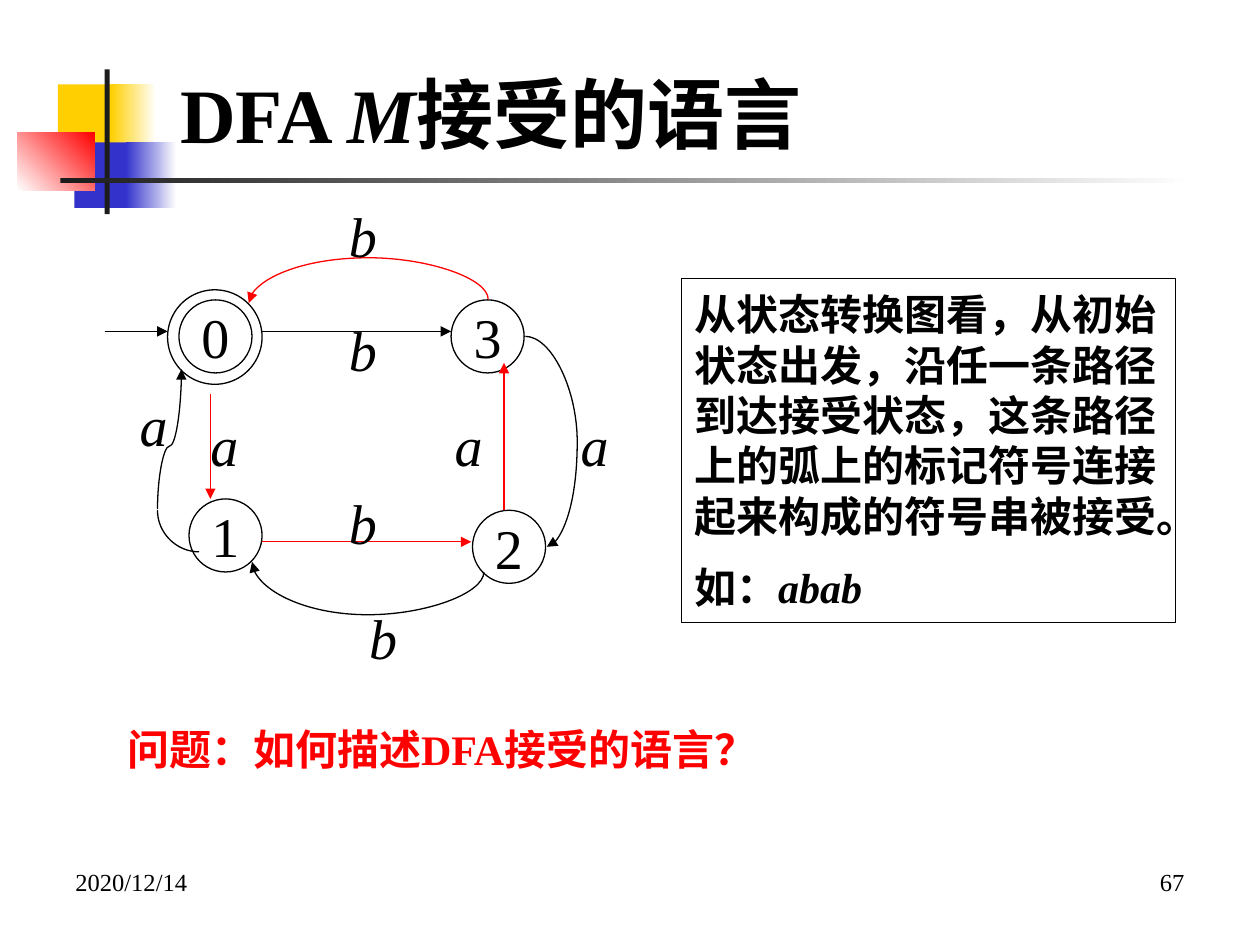
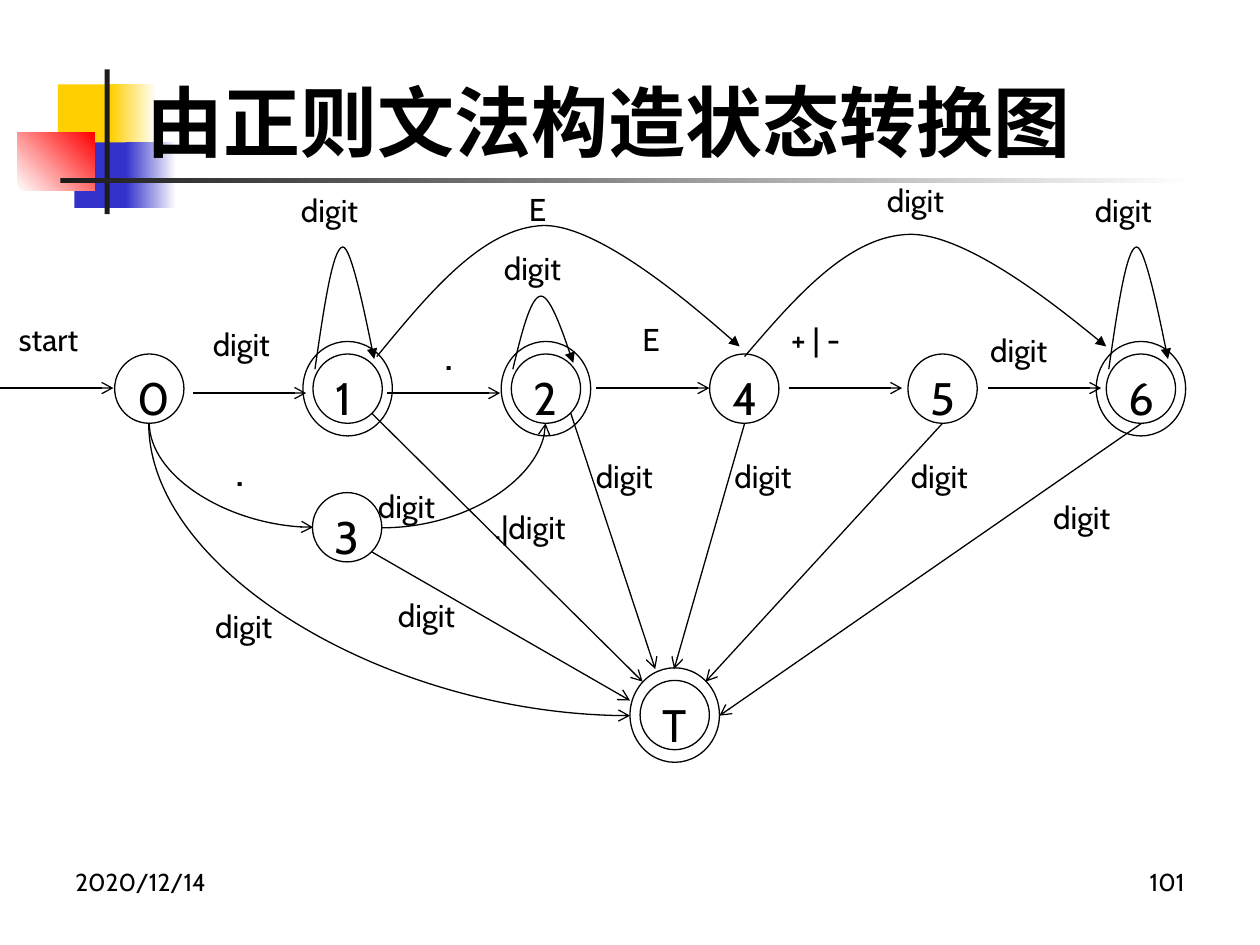
from lxml import etree
from pptx import Presentation
from pptx import util as u
from pptx.dml.color import RGBColor
from pptx.enum import shapes, text
from pptx.oxml import ns


class Theme:
    black, white, red = "000000", "FFFFFF", "FF0000"
    gold, blue, dark = "FFCF01", "3333CC", "1C1C1C"
    serif, sans = "Times New Roman", "Cabin"
    title, state, body, node, label, foot = 44, 32, 24, 26, 18, 14
    line = 0.75


RECT, OVAL = shapes.MSO_SHAPE.RECTANGLE, shapes.MSO_SHAPE.OVAL
STRAIGHT, CURVE = shapes.MSO_CONNECTOR.STRAIGHT, shapes.MSO_CONNECTOR.CURVE
LEFT, MID, RIGHT = text.PP_ALIGN.LEFT, text.PP_ALIGN.CENTER, text.PP_ALIGN.RIGHT
TOP, CENTER = text.MSO_ANCHOR.TOP, text.MSO_ANCHOR.MIDDLE


def put(box, words, size, font, color=Theme.black, bold=False, slant=False,
        align=LEFT, anchor=TOP, wrap=True, gap=0):
    """Fill a box with text; *stars* turn italics on and off."""
    frame = box.text_frame
    frame.word_wrap, frame.vertical_anchor = wrap, anchor
    frame.auto_size = text.MSO_AUTO_SIZE.NONE
    for i, row in enumerate(words.split("\n")):
        para = frame.add_paragraph() if i else frame.paragraphs[0]
        para.alignment = align
        if i:
            para.space_before = u.Pt(gap)
        for j, part in enumerate(row.split("*")):
            if part:
                run = para.add_run()
                run.text = part
                run.font.size, run.font.name = u.Pt(size), font
                run.font.bold, run.font.italic = bold, slant or j % 2 == 1
                run.font.color.rgb = RGBColor.from_string(color)


def ink(shape, color=Theme.black, tip=None):
    """Give a shape a thin plain outline, with an arrowhead if tip is named."""
    shape.line.color.rgb = RGBColor.from_string(color)
    shape.line.width = u.Pt(Theme.line)
    props = shape.element.spPr
    if tip:
        etree.SubElement(props.find(ns.qn("a:ln")), ns.qn("a:tailEnd"), type=tip)
    etree.SubElement(props, ns.qn("a:effectLst"))


deck = Presentation()
deck.slide_width, deck.slide_height = u.Inches(10), u.Inches(7.5)

# Shared band, title and footer
bands = [
    (0.46, 0.67, 0.48, 0.52, Theme.gold, None, 0),
    (0.88, 0.67, 0.36, 0.52, Theme.gold, Theme.white, 0),
    (0.59, 1.13, 0.46, 0.52, Theme.blue, None, 0),
    (1, 1.13, 0.4, 0.52, Theme.blue, Theme.white, 0),
    (0.14, 1.05, 0.61, 0.46, Theme.white, Theme.red, 45),
    (0.83, 0.55, 0.04, 1.15, Theme.dark, None, 0),
    (0.48, 1.41, 9, 0.04, Theme.dark, Theme.white, 0),
]
heads = [
    ("DFA *M*接受的语言", (1.33, 0.48, 6.17, 0.83), TOP, Theme.serif, "67"),
    ("由正则文法构造状态转换图", (1.06, 0.52, 8.74, 0.87), CENTER, Theme.sans, "101"),
]
pages = []
for head, at, anchor, font, number in heads:
    page = deck.slides.add_slide(deck.slide_layouts[5])
    pages.append(page)
    for x, y, w, h, first, last, angle in bands:
        band = page.shapes.add_shape(RECT, *map(u.Inches, (x, y, w, h)))
        band.shadow.inherit = False
        band.line.fill.background()
        if last:
            band.fill.gradient()
            band.fill.gradient_angle = angle
            for stop, color in zip(band.fill.gradient_stops, (first, last)):
                stop.color.rgb = RGBColor.from_string(color)
        else:
            band.fill.solid()
            band.fill.fore_color.rgb = RGBColor.from_string(first)
    title = page.shapes.title
    title.left, title.top, title.width, title.height = map(u.Inches, at)
    put(title, head, Theme.title, font, bold=True, anchor=anchor)
    # Keep the title in front of the bands
    page.shapes.element.append(title.element)
    for x, words, align in ((0.5, "2020/12/14", LEFT), (7.17, number, RIGHT)):
        foot = page.shapes.add_textbox(*map(u.Inches, (x, 6.83, 2.33, 0.52)))
        put(foot, words, Theme.foot, font, align=align)
dfa, graph = pages

# Explanation and question beside the DFA
note = dfa.shapes.add_shape(RECT, *map(u.Inches, (5.41, 2.21, 3.92, 2.73)))
note.fill.solid()
note.fill.fore_color.rgb = RGBColor.from_string(Theme.white)
ink(note)
put(note, "从状态转换图看，从初始状态出发，沿任一条路径到达接受状态，这条路径上的弧上的"
    "标记符号连接起来构成的符号串被接受。\n如：*abab*",
    Theme.body, Theme.serif, bold=True, anchor=CENTER, gap=12)
ask = dfa.shapes.add_textbox(*map(u.Inches, (0.91, 5.69, 5.91, 0.51)))
put(ask, "问题：如何描述DFA接受的语言？", Theme.body, Theme.serif, Theme.red, bold=True)

# DFA states
for name, x, y, size in [("", 1.33, 2.3, 0.75), ("0", 1.42, 2.38, 0.58),
                         ("1", 1.5, 3.96, 0.58), ("2", 3.75, 4.05, 0.58),
                         ("3", 3.58, 2.38, 0.58)]:
    state = dfa.shapes.add_shape(OVAL, *map(u.Inches, (x, y, size, size)))
    state.fill.solid()
    state.fill.fore_color.rgb = RGBColor.from_string(Theme.white)
    ink(state)
    put(state, name, Theme.state, Theme.serif, align=MID, anchor=CENTER, wrap=False)

# States of the transition graph; some have an outer ring
nodes = [(name, 0.91 + 7.87 / 5 * i, 2.81) for i, name in enumerate("012456")]
nodes += [("3", 2.48, 3.91), ("T", 5.08, 5.4)]
for name, x, y in nodes:
    rounds = [(name, x, y, 0.55, 0.55)]
    if name in "126T":
        rounds.append(("", x - 0.08, y - 0.1, 0.71, 0.75))
    for words, *at in rounds:
        node = graph.shapes.add_shape(OVAL, *map(u.Inches, at))
        node.fill.background()
        ink(node)
        put(node, words, Theme.node, Theme.sans)

# Straight arrows: page, tip, colour, from, to
lines = [
    (dfa, "triangle", Theme.black, 0.83, 2.63, 1.33, 2.63),
    (dfa, "triangle", Theme.black, 2.08, 2.63, 3.58, 2.63),
    (dfa, "triangle", Theme.red, 1.67, 3.13, 1.67, 3.96),
    (dfa, "triangle", Theme.red, 2.08, 4.3, 3.74, 4.3),
    (dfa, "triangle", Theme.red, 4, 4.05, 4, 2.88),
]
for x, y in [(0, 3.08), (1.53, 3.12), (3.07, 3.12), (4.73, 3.08), (6.26, 3.08), (7.84, 3.08)]:
    lines.append((graph, "arrow", Theme.black, x, y, x + 0.9, y))
for ends in [(2.95, 3.28, 5.1, 5.41), (2.95, 4.38, 5, 5.56), (5.91, 3.36, 5.35, 5.31),
             (7.48, 3.36, 5.6, 5.41), (9.06, 3.36, 5.71, 5.68), (4.53, 3.28, 5.2, 5.31)]:
    lines.append((graph, "arrow", Theme.black, *ends))
for page, tip, color, *ends in lines:
    ink(page.shapes.add_connector(STRAIGHT, *map(u.Inches, ends)), color, tip)

# Curved connectors: page, tip, colour, box, turn, flips, bend (None: quarter curve)
bows = [
    (dfa, "triangle", Theme.black, 2.88, 3.58, 0.08, 1.84, 270, "v", -4.25),
    (dfa, "triangle", Theme.black, 4.17, 2.67, 0.17, 1.67, 0, "", 2.42),
    (dfa, "triangle", Theme.red, 2.91, 1.44, 0.03, 1.9, 270, "hv", -11),
    (dfa, "triangle", Theme.black, 0.79, 3.39, 1.11, 0.19, 270, "", 0.45),
    (graph, "arrow", Theme.black, 1.42, 3.12, 0.83, 1.3, 270, "h", None),
    (graph, "arrow", Theme.black, 1.93, 2.61, 2.32, 3.82, 270, "h", None),
    (graph, "arrow", Theme.black, 3.03, 3.36, 1.3, 0.83, 0, "v", None),
]
for page, tip, color, x, y, w, h, turn, flips, bend in bows:
    x1, x2 = (x + w, x) if "h" in flips else (x, x + w)
    y1, y2 = (y + h, y) if "v" in flips else (y, y + h)
    bow = page.shapes.add_connector(CURVE, *map(u.Inches, (x1, y1, x2, y2)))
    props = bow.element.spPr
    props.find(ns.qn("a:xfrm")).set("rot", str(turn * 60000))
    form = props.find(ns.qn("a:prstGeom"))
    if bend is None:
        form.set("prst", "curvedConnector2")
    else:
        etree.SubElement(form.find(ns.qn("a:avLst")), ns.qn("a:gd"),
                         name="adj1", fmla=f"val {round(bend * 100000)}")
    ink(bow, color, tip)

# Free arcs: a start and then three knots for each cubic curve
arcs = [
    (dfa, None, [(1.58, 4.38), (1.4, 4.38), (1.25, 4.23), (1.25, 4.05)]),
    (graph, "triangle", [(4.07, 2.93), (4.14, 2.64), (4.21, 2.36), (4.29, 2.35),
                         (4.37, 2.34), (4.55, 2.88), (4.55, 2.88)]),
    (graph, "triangle", [(5.91, 2.83), (6.32, 2.35), (6.74, 1.87), (7.22, 1.86),
                         (7.7, 1.85), (8.78, 2.75), (8.78, 2.75)]),
    (graph, "triangle", [(2.99, 2.83), (3.41, 2.32), (3.83, 1.81), (4.31, 1.79),
                         (4.78, 1.78), (5.87, 2.75), (5.87, 2.75)]),
]
for x in (2.5, 8.8):
    arcs.append((graph, "triangle", [(x, 2.93), (x + 0.07, 2.45), (x + 0.14, 1.97),
                                     (x + 0.22, 1.96), (x + 0.29, 1.95),
                                     (x + 0.47, 2.85), (x + 0.47, 2.85)]))
for page, tip, knots in arcs:
    dots = [tuple(map(u.Inches, knot)) for knot in knots]
    pen = page.shapes.build_freeform(*dots[0])
    pen.add_line_segments(dots[1:], close=False)
    arc = pen.convert_to_shape()
    # Join each three line steps into one cubic curve
    steps = list(arc.element.iter(ns.qn("a:lnTo")))
    track = steps[0].getparent()
    for k in range(0, len(steps), 3):
        cubic = etree.SubElement(track, ns.qn("a:cubicBezTo"))
        for step in steps[k:k + 3]:
            cubic.append(step[0])
            track.remove(step)
    arc.fill.background()
    ink(arc, tip=tip)

# Arrow labels
for name, x, y in [("a", 1.01, 3.05), ("a", 1.57, 3.21), ("a", 3.51, 3.21), ("a", 4.51, 3.21),
                   ("b", 2.67, 3.83), ("b", 2.83, 4.74), ("b", 2.67, 2.46), ("b", 2.67, 1.55)]:
    tag = dfa.shapes.add_textbox(*map(u.Inches, (x, y, 0.42, 0.63)))
    put(tag, name, Theme.state, Theme.serif, slant=True, align=MID, anchor=CENTER, wrap=False)

tags = [("start", 0.05, 2.49, 0.71), ("E", 5, 2.49, 0.34), ("E", 4.1, 1.46, 0.34),
        ("+ | -", 6.18, 2.49, 0.73), (".|digit", 3.83, 3.98, 0.86),
        (".", 3.43, 2.53, 0.31), (".", 1.77, 3.45, 0.31)]
tags += [("digit", x, y, 0.68) for x, y in [
    (1.59, 2.53), (7.76, 2.58), (2.29, 1.47), (6.94, 1.39), (8.59, 1.47), (1.61, 4.77),
    (2.9, 3.82), (3.06, 4.68), (4.63, 3.58), (5.73, 3.58), (7.13, 3.58), (8.26, 3.9),
    (3.9, 1.93)]]
for name, x, y, w in tags:
    size, h = (Theme.node, 0.54) if name == "." else (Theme.label, 0.4)
    tag = graph.shapes.add_textbox(*map(u.Inches, (x, y, w, h)))
    put(tag, name, size, Theme.sans, wrap=False)

deck.save("out.pptx")
